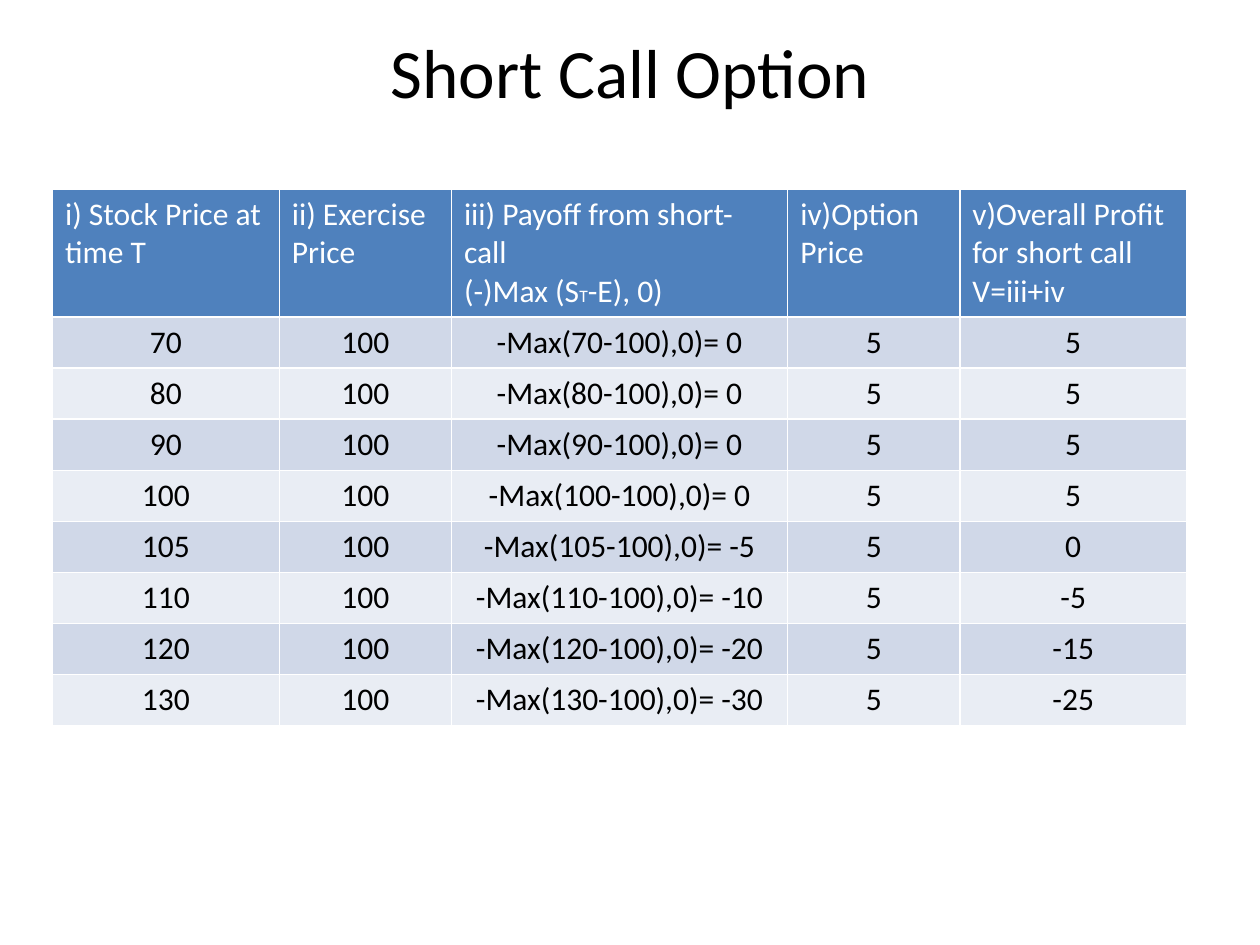
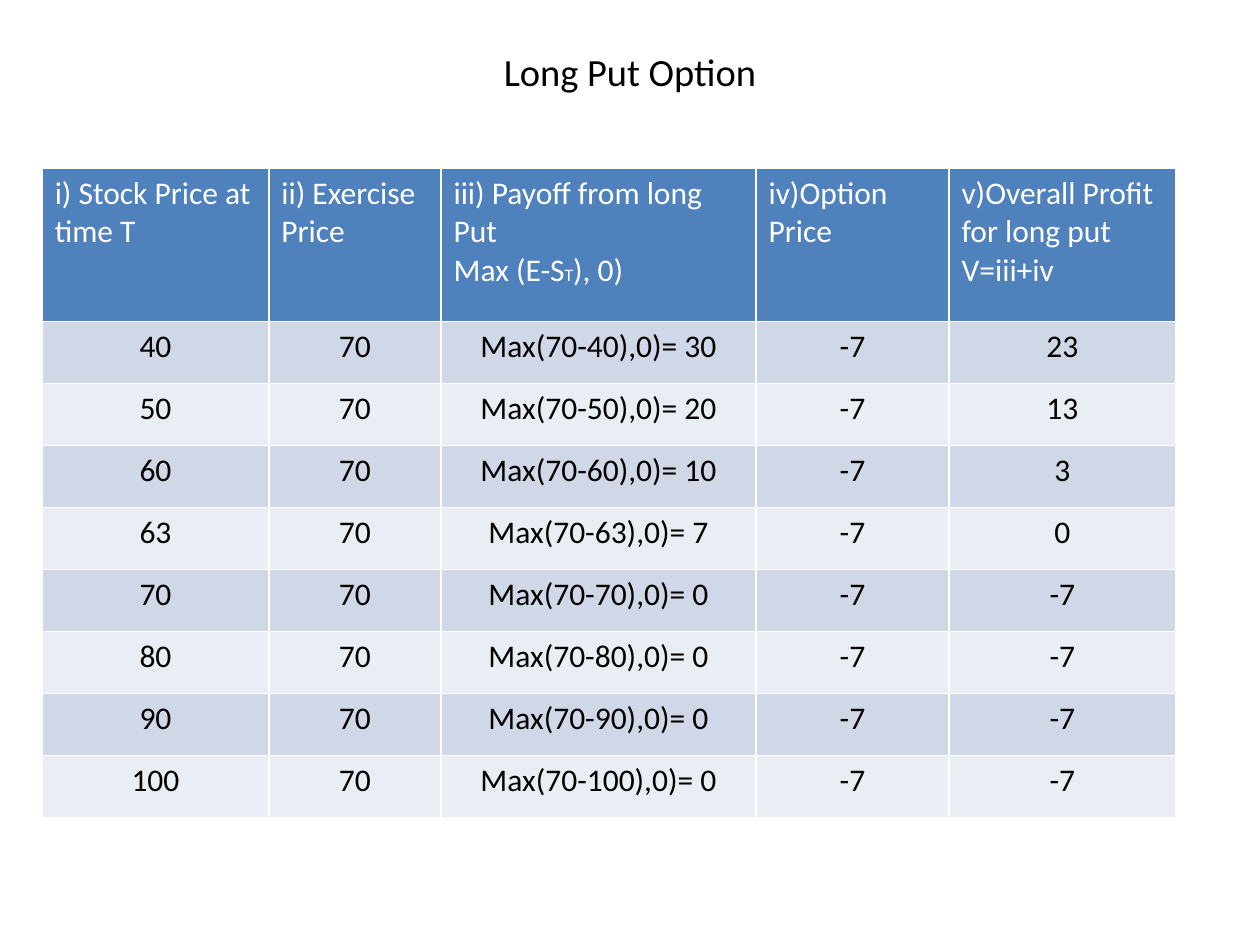
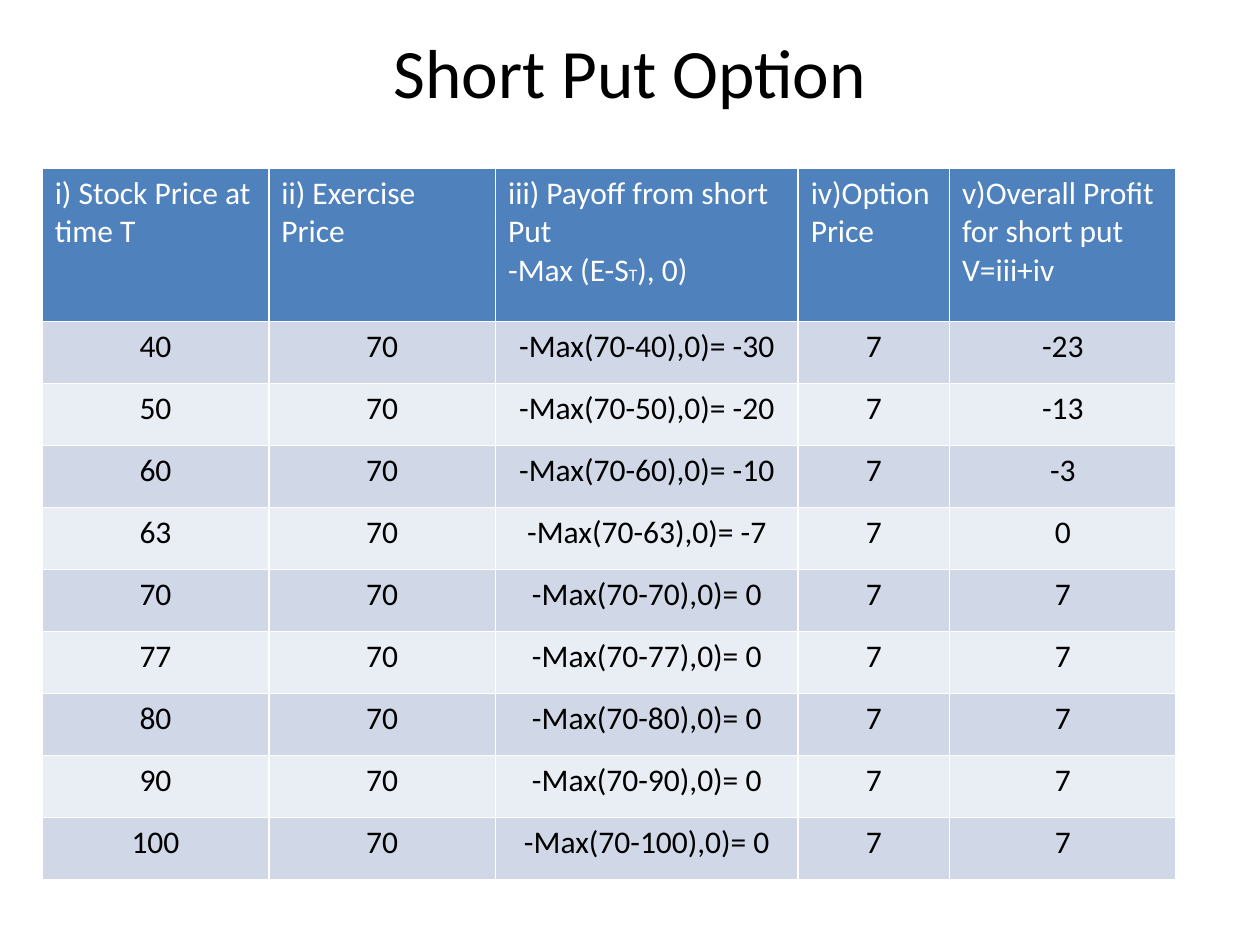
from pptx import Presentation
from pptx.dml.color import RGBColor
from pptx.enum.text import MSO_ANCHOR, MSO_AUTO_SIZE, PP_ALIGN
from pptx.util import Cm, Pt

FONT = "Calibri"
BLACK = RGBColor(0x00, 0x00, 0x00)
WHITE = RGBColor(0xFF, 0xFF, 0xFF)
HEADER_BLUE = RGBColor(0x4F, 0x81, 0xBD)
BANDS = [RGBColor(0xD0, 0xD8, 0xE8), RGBColor(0xE9, 0xED, 0xF4)]
TEXT_SIZE = 18
SUBSCRIPT_SIZE = 10

# Lengths in cm; the formula is (before the small T, after it)
OPTIONS = [
    dict(title="Short Call Option", title_size=39.6, kind="call", sign=-1,
         position="short call", payoff="short- call", formula=("(-)Max (S", "-E), 0)"),
         exercise=100, premium=5, prices=[70, 80, 90, 100, 105, 110, 120, 130],
         left=1.06, top=3.81, widths=[4.57, 3.47, 6.78, 3.47, 4.57],
         header_height=2.56, row_height=1.03),
    dict(title="Long Put Option", title_size=22, kind="put", sign=1,
         position="long put", payoff="long Put", formula=("Max (E-S", "), 0)"),
         exercise=70, premium=-7, prices=[40, 50, 60, 63, 70, 80, 90, 100],
         left=0.85, top=3.39, widths=[4.57, 3.47, 6.35, 3.89, 4.57],
         header_height=3.09, row_height=1.25),
    dict(title="Short Put Option", title_size=39.6, kind="put", sign=-1,
         position="short put", payoff="short Put", formula=("-Max (E-S", "), 0)"),
         exercise=70, premium=7, prices=[40, 50, 60, 63, 70, 77, 80, 90, 100],
         left=0.85, top=3.39, widths=[4.57, 4.57, 6.1, 3.05, 4.57],
         header_height=3.09, row_height=1.25),
]


def add_run(p, text, size, color):
    r = p.add_run()
    r.text = text
    r.font.name = FONT
    r.font.size = Pt(size)
    r.font.bold = False
    r.font.color.rgb = color


def fill_cell(cell, paragraphs, fill, color, align):
    """Write paragraphs, each a list of (text, size) runs, into a filled cell."""
    cell.fill.solid()
    cell.fill.fore_color.rgb = fill
    tf = cell.text_frame
    for i, runs in enumerate(paragraphs):
        p = tf.add_paragraph() if i else tf.paragraphs[0]
        p.alignment = align
        for text, size in runs:
            add_run(p, text, size, color)


prs = Presentation()
prs.slide_width, prs.slide_height = Cm(25.4), Cm(19.05)

for option in OPTIONS:
    s = prs.slides.add_slide(prs.slide_layouts[5])

    title = s.shapes.title
    title.left, title.top, title.width, title.height = Cm(1.27), Cm(0.76), Cm(22.86), Cm(1.35)
    tf = title.text_frame
    tf.auto_size = MSO_AUTO_SIZE.NONE
    tf.vertical_anchor = MSO_ANCHOR.MIDDLE
    p = tf.paragraphs[0]
    p.alignment = PP_ALIGN.CENTER
    add_run(p, option["title"], option["title_size"], BLACK)

    prices, widths = option["prices"], option["widths"]
    height = option["header_height"] + len(prices) * option["row_height"]
    table = s.shapes.add_table(len(prices) + 1, len(widths), Cm(option["left"]),
                               Cm(option["top"]), Cm(sum(widths)), Cm(height)).table
    for column, width in zip(table.columns, widths):
        column.width = Cm(width)
    for i, row in enumerate(table.rows):
        row.height = Cm(option["row_height"] if i else option["header_height"])

    before, after = option["formula"]
    headers = [
        [[("i) Stock Price at time T", TEXT_SIZE)]],
        [[("ii) Exercise Price", TEXT_SIZE)]],
        [[(f"iii) Payoff from {option['payoff']}", TEXT_SIZE)],
         [(before, TEXT_SIZE), ("T", SUBSCRIPT_SIZE), (after, TEXT_SIZE)]],
        [[("iv)Option Price", TEXT_SIZE)]],
        [[(f"v)Overall Profit for {option['position']}", TEXT_SIZE)],
         [("V=iii+iv", TEXT_SIZE)]],
    ]
    for col, paragraphs in enumerate(headers):
        fill_cell(table.cell(0, col), paragraphs, HEADER_BLUE, WHITE, PP_ALIGN.LEFT)

    exercise, premium = option["exercise"], option["premium"]
    minus = "-" if option["sign"] < 0 else ""
    for row, price in enumerate(prices, start=1):
        high, low = (price, exercise) if option["kind"] == "call" else (exercise, price)
        payoff = option["sign"] * max(high - low, 0)
        values = [price, exercise, f"{minus}Max({high}-{low}),0)= {payoff}",
                  premium, payoff + premium]
        for col, value in enumerate(values):
            fill_cell(table.cell(row, col), [[(str(value), TEXT_SIZE)]],
                      BANDS[(row - 1) % 2], BLACK, PP_ALIGN.CENTER)

prs.save("out.pptx")
